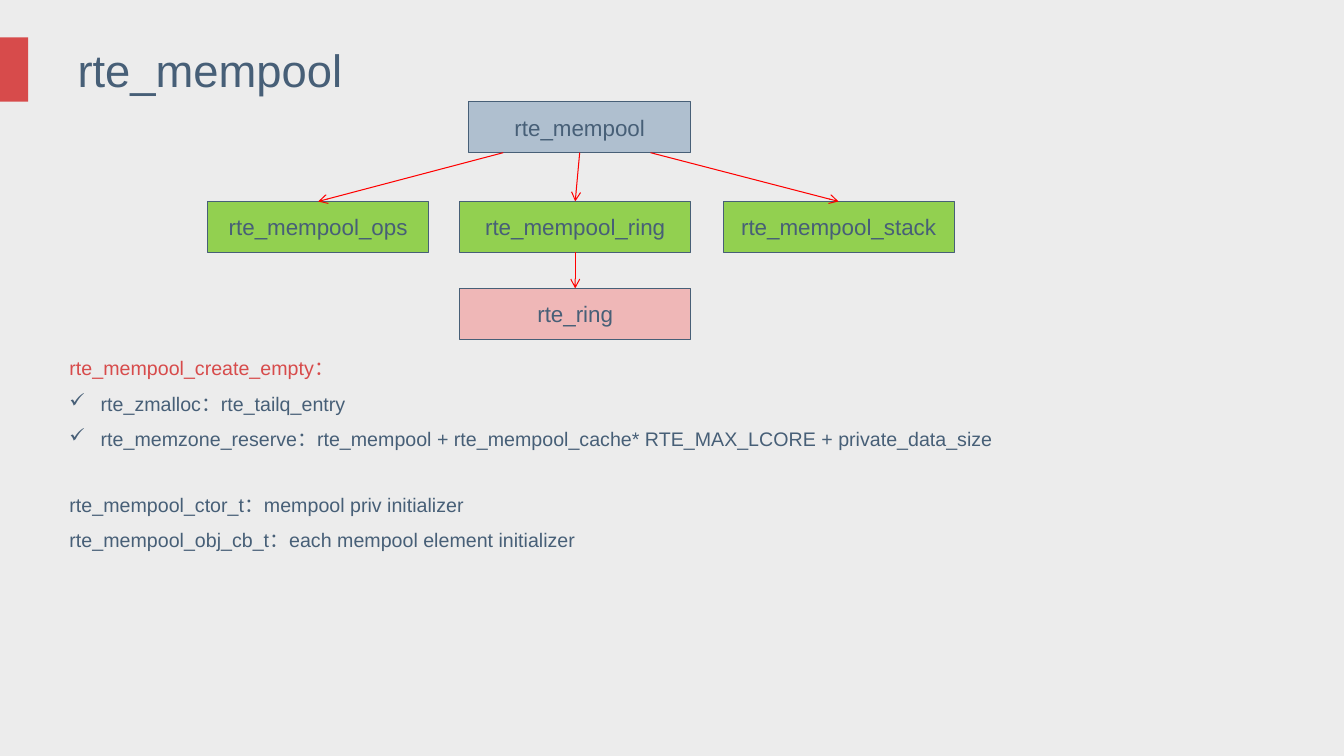
from lxml import etree
from pptx import Presentation
from pptx.dml.color import RGBColor
from pptx.enum.shapes import MSO_CONNECTOR, MSO_SHAPE
from pptx.enum.text import MSO_ANCHOR, PP_ALIGN
from pptx.oxml.ns import qn
from pptx.util import Inches, Pt

RECTANGLE = MSO_SHAPE.RECTANGLE
STRAIGHT = MSO_CONNECTOR.STRAIGHT
MIDDLE, TOP = MSO_ANCHOR.MIDDLE, MSO_ANCHOR.TOP
LEFT, CENTER = PP_ALIGN.LEFT, PP_ALIGN.CENTER

WIDTH, HEIGHT = Inches(13.33), Inches(7.5)
SLATE, RED, GREEN = "475F77", "D74B4B", "92D050"
BOX_HEIGHT = 6.75
POOL_ROW, HANDLER_ROW, RING_ROW = 13.45, 26.65, 38.15
POOL = (34.88, POOL_ROW, 16.5, BOX_HEIGHT)
RING_HANDLER = (34.2, HANDLER_ROW, 17.2, BOX_HEIGHT)
RING = (34.2, RING_ROW, 17.2, BOX_HEIGHT)
HANDLERS = [
    ("rte_mempool_ops", (15.45, HANDLER_ROW, 16.45, BOX_HEIGHT), 0.155),
    ("rte_mempool_ring", RING_HANDLER, 0.5),
    ("rte_mempool_stack", (53.8, HANDLER_ROW, 17.2, BOX_HEIGHT), 0.82),
]
NOTES = [
    ("rte_mempool_create_empty：", RED, False, 0),
    ("rte_zmalloc：rte_tailq_entry", SLATE, True, 0),
    ("rte_memzone_reserve：rte_mempool + rte_mempool_cache* "
     "RTE_MAX_LCORE + private_data_size", SLATE, True, 0),
    ("rte_mempool_ctor_t：mempool priv initializer", SLATE, False, 22),
    ("rte_mempool_obj_cb_t：each mempool element initializer", SLATE, False, 0),
]


def rgb(color):
    """Turn a hex string into a colour."""
    return RGBColor.from_string(color)


def place(left, top, *size):
    """Turn percentages of the slide into lengths."""
    return [round(share * side / 100) for share, side
            in zip((left, top, *size), (WIDTH, HEIGHT) * 2)]


def write(paragraph, text, size, color=SLATE, align=LEFT):
    """Fill a paragraph with text in one style."""
    paragraph.text = text
    paragraph.alignment = align
    paragraph.font.name = "Arial"
    paragraph.font.size = Pt(size)
    paragraph.font.color.rgb = rgb(color)


def add_block(slide, area, fill, outline=None):
    """Draw a flat rectangle, with an outline if one is given."""
    block = slide.shapes.add_shape(RECTANGLE, *place(*area))
    block.shadow.inherit = False
    block.fill.solid()
    block.fill.fore_color.rgb = rgb(fill)
    if outline:
        block.line.color.rgb = rgb(outline)
        block.line.width = Pt(0.75)
    else:
        block.line.fill.background()
    return block


def add_node(slide, label, area, fill):
    """Draw a labelled box of the diagram."""
    frame = add_block(slide, area, fill, SLATE).text_frame
    frame.vertical_anchor = MIDDLE
    frame.word_wrap = True
    write(frame.paragraphs[0], label, 16, align=CENTER)


def add_arrow(slide, parent, child, share=0.5):
    """Point from a share of the parent's lower edge to the child's top centre."""
    start = place(parent[0] + parent[2] * share, parent[1] + parent[3])
    end = place(child[0] + child[2] / 2, child[1])
    arrow = slide.shapes.add_connector(STRAIGHT, *start, *end)
    arrow.line.color.rgb = rgb("FF0000")
    arrow.line.width = Pt(0.75)
    etree.SubElement(arrow.line._get_or_add_ln(), qn("a:tailEnd"), type="arrow")
    etree.SubElement(arrow._element.spPr, qn("a:effectLst"))


def add_text(slide, area, anchor):
    """Add an empty wrapping text box and return its frame."""
    frame = slide.shapes.add_textbox(*place(*area)).text_frame
    frame.word_wrap = True
    frame.vertical_anchor = anchor
    return frame


def add_check(paragraph):
    """Give a paragraph a hanging check mark."""
    properties = paragraph._p.get_or_add_pPr()
    properties.set("marL", str(Inches(0.31)))
    properties.set("indent", str(-Inches(0.31)))
    bullet = etree.Element(qn("a:buChar"), char="✓")
    properties.insert_element_before(bullet, "a:tabLst", "a:defRPr", "a:extLst")


def add_notes(slide):
    """Write the notes under the diagram."""
    frame = add_text(slide, (4.43, 44.93, 80.65, 32.25), TOP)
    for index, (text, color, checked, gap) in enumerate(NOTES):
        paragraph = frame.add_paragraph() if index else frame.paragraphs[0]
        write(paragraph, text, 14, color)
        paragraph.line_spacing = 1.5
        paragraph.space_before = Pt(gap)
        if checked:
            add_check(paragraph)


def main():
    """Build and save the slide."""
    deck = Presentation()
    deck.slide_width, deck.slide_height = WIDTH, HEIGHT
    slide = deck.slides.add_slide(deck.slide_layouts[6])
    slide.background.fill.solid()
    slide.background.fill.fore_color.rgb = rgb("ECECEC")

    add_block(slide, (0, 4.95, 2.1, 8.5), RED)
    title = add_text(slide, (5.03, 4.95, 88.3, 8.5), MIDDLE)
    write(title.paragraphs[0], "rte_mempool", 32.4)

    add_node(slide, "rte_mempool", POOL, "AFBFCF")
    for label, area, share in HANDLERS:
        add_node(slide, label, area, GREEN)
        add_arrow(slide, POOL, area, share)
    add_node(slide, "rte_ring", RING, "EFB7B7")
    add_arrow(slide, RING_HANDLER, RING)
    add_notes(slide)
    deck.save("out.pptx")


if __name__ == "__main__":
    main()
